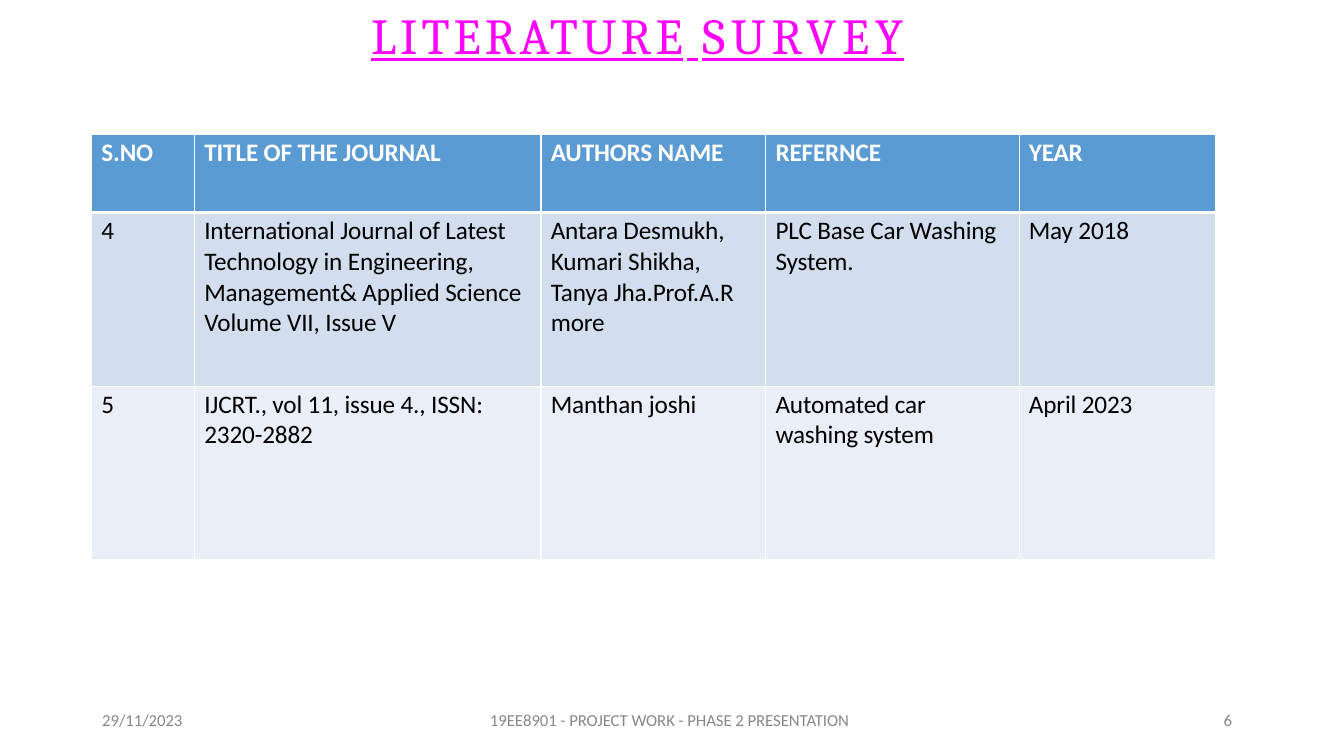
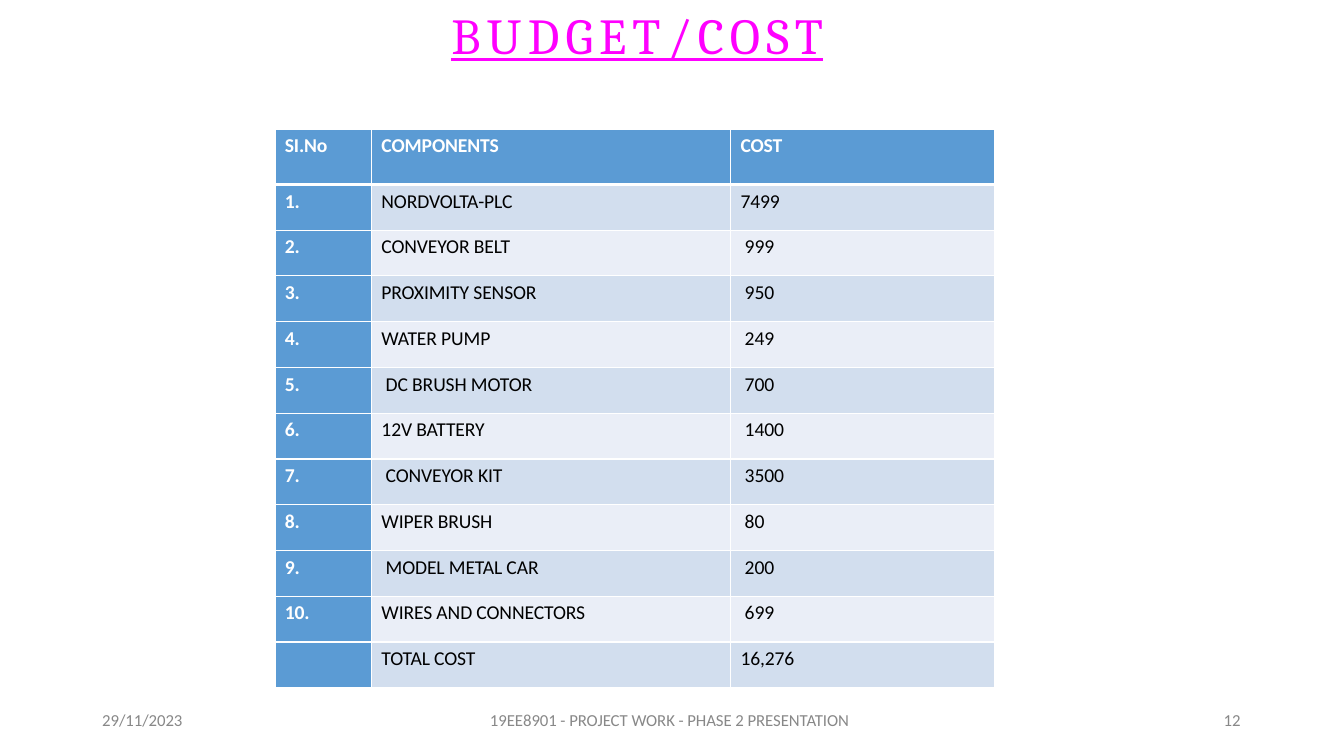
"""Build the literature survey and budget slides."""
from pptx import Presentation
from pptx.dml.color import RGBColor
from pptx.enum.text import MSO_ANCHOR, PP_ALIGN
from pptx.oxml import parse_xml
from pptx.oxml.ns import nsdecls
from pptx.util import Pt

PINK, WHITE, BLACK, GREY = "FF00FF", "FFFFFF", "000000", "888888"
BLUE, DARK, PALE = "5B9BD4", "D2DEEE", "EAEEF7"


def tint(code):
    return RGBColor.from_string(code)


def write(frame, parts, size, color, face="Calibri", bold=False):
    frame.margin_left = frame.margin_right = frame.margin_bottom = 0
    para = frame.paragraphs[0]
    para.alignment = PP_ALIGN.LEFT
    para.text = parts[0][0]
    for text, _ in parts[1:]:
        para.add_run().text = text
    for run in para.runs:
        font = run.font
        font.name, font.size, font.bold = face, Pt(size), bold
        font.color.rgb = tint(color)
    gaps = [gap for _, gap in parts]
    for i, run in enumerate(para.runs):
        gap = gaps[min(i, len(gaps) - 1)]
        run._r.get_or_add_rPr().set("spc", str(round(gap * 100)))
    return para


survey = dict(
    title=[("LITERATURE", 2.9), (" ", 3), ("SURVEY", 4.2)],
    left=265, width=400, number="6",
    x=65.5, y=95.8, cols=[73.5, 247.5, 160.5, 181, 140], rows=[56, 124, 124],
    size=18, top=2.2, before=2.4, side=False, inset=set(),
    cells=[
        ["S.NO", "TITLE OF THE JOURNAL", "AUTHORS NAME", "REFERNCE", "YEAR"],
        ["4", "International Journal of Latest\vTechnology in Engineering,\v"
         "Management& Applied Science\vVolume VII, Issue V",
         "Antara Desmukh,\vKumari Shikha,\vTanya Jha.Prof.A.R\vmore",
         "PLC Base Car Washing\vSystem.", "May 2018"],
        ["5", "IJCRT., vol 11, issue 4., ISSN:\v2320-2882", "Manthan joshi",
         "Automated car\vwashing system", "April 2023"],
    ])

parts = [("NORDVOLTA-PLC", "7499"), ("CONVEYOR BELT", "999"),
         ("PROXIMITY SENSOR", "950"), ("WATER PUMP", "249"),
         ("DC BRUSH MOTOR", "700"), ("12V BATTERY", "1400"),
         ("CONVEYOR KIT", "3500"), ("WIPER BRUSH", "80"),
         ("MODEL METAL CAR", "200"), ("WIRES AND CONNECTORS", "699")]
budget = dict(
    title=[("BUDGET/COST", 4.5)], left=322.5, width=286, number="12",
    x=196.5, y=92.2, cols=[69, 256.5, 188.5], rows=[39.5] + [32.7] * 11,
    size=14, top=3.6, before=3.8, side=True,
    inset={(r, 2) for r in range(2, 11)} | {(r, 1) for r in (5, 7, 9)},
    cells=[["SI.No", "COMPONENTS", "COST"]]
    + [[f"{n}.", *part] for n, part in enumerate(parts, 1)]
    + [["", "TOTAL COST", "16,276"]])

deck = Presentation()
deck.slide_width, deck.slide_height = Pt(960), Pt(540)

for page in (survey, budget):
    slide = deck.slides.add_slide(deck.slide_layouts[5])
    title = slide.shapes.title
    title.left, title.top = Pt(page["left"]), Pt(2)
    title.width, title.height = Pt(page["width"]), Pt(45.5)
    frame = title.text_frame
    frame.margin_top, frame.vertical_anchor = Pt(1), MSO_ANCHOR.TOP
    para = write(frame, page["title"], 36, PINK, "Cambria")
    para.space_before = Pt(1)
    for run in para.runs:
        run.font.underline = True

    cols, rows = page["cols"], page["rows"]
    table = slide.shapes.add_table(
        len(rows), len(cols), Pt(page["x"]), Pt(page["y"]),
        Pt(sum(cols)), Pt(sum(rows))).table
    for col, width in zip(table.columns, cols):
        col.width = Pt(width)
    for r, line in enumerate(page["cells"]):
        table.rows[r].height = Pt(rows[r])
        for c, text in enumerate(line):
            cell = table.cell(r, c)
            head = r == 0 or (page["side"] and c == 0)
            if text:
                para = write(cell.text_frame, [(text, -0.1)], page["size"],
                             WHITE if head else BLACK, bold=head)
                para.space_before = Pt(page["before"])
            cell.margin_left = Pt(10 if (r, c) in page["inset"] else 7)
            cell.margin_right = cell.margin_bottom = 0
            cell.margin_top = Pt(page["top"])
            props = cell._tc.get_or_add_tcPr()
            for edge in "LRTB":
                thick = (r, edge) in ((0, "B"), (1, "T"))
                props.append(parse_xml(
                    f'<a:ln{edge} {nsdecls("a")} w="{Pt(3 if thick else 1)}">'
                    f'<a:solidFill><a:srgbClr val="{WHITE}"/></a:solidFill>'
                    f'</a:ln{edge}>'))
            cell.fill.solid()
            cell.fill.fore_color.rgb = tint(
                BLUE if head else DARK if r % 2 else PALE)

    for left, width, text in (
            (73, 60, "29/11/2023"),
            (350, 262, "19EE8901 - PROJECT WORK - PHASE 2 PRESENTATION"),
            (874, 18, page["number"])):
        box = slide.shapes.add_textbox(Pt(left), Pt(509), Pt(width), Pt(14))
        box.text_frame.margin_top = 0
        para = write(box.text_frame, [(text, -0.05)], 12, GREY)
        para.line_spacing = Pt(12.4)

deck.save("out.pptx")
